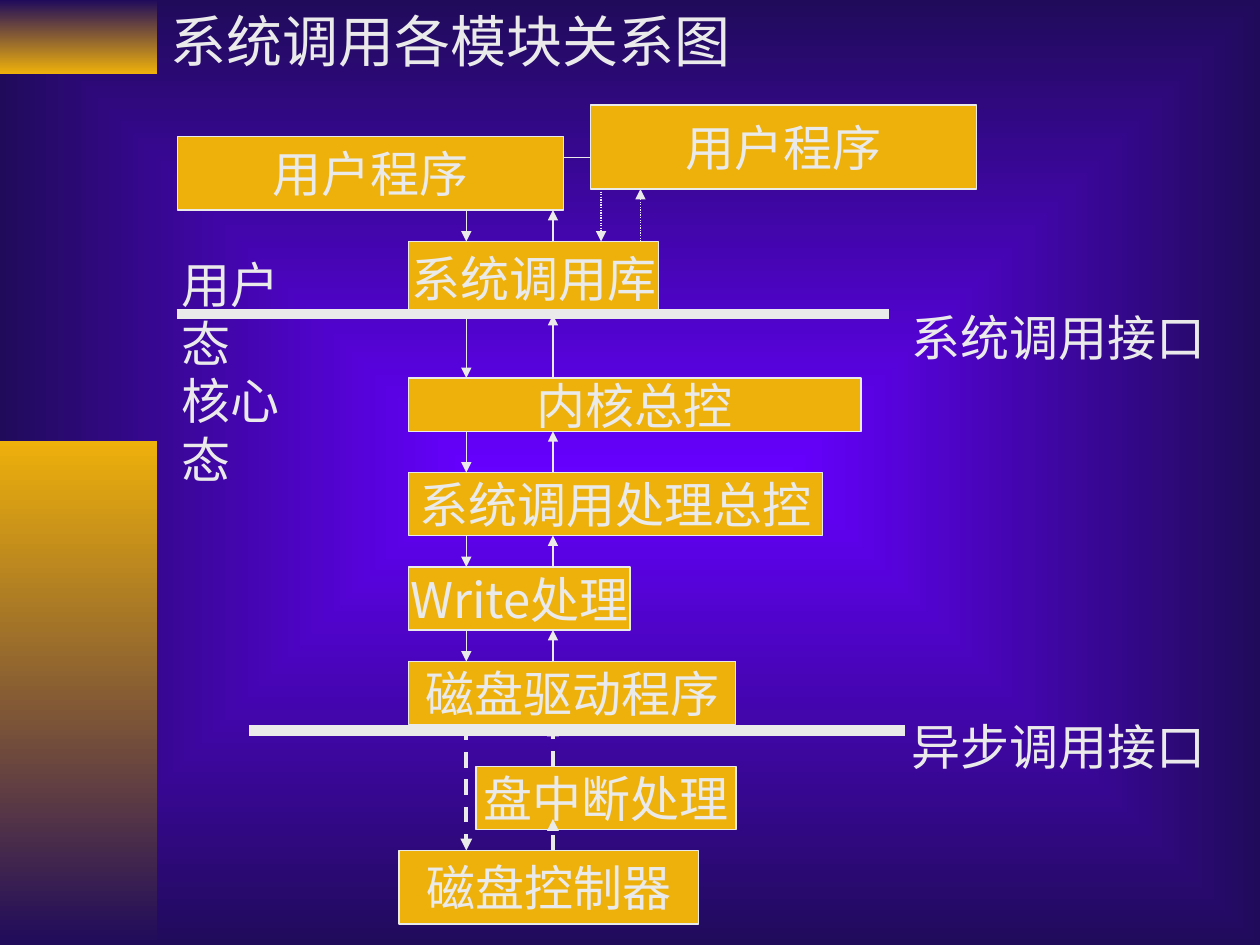
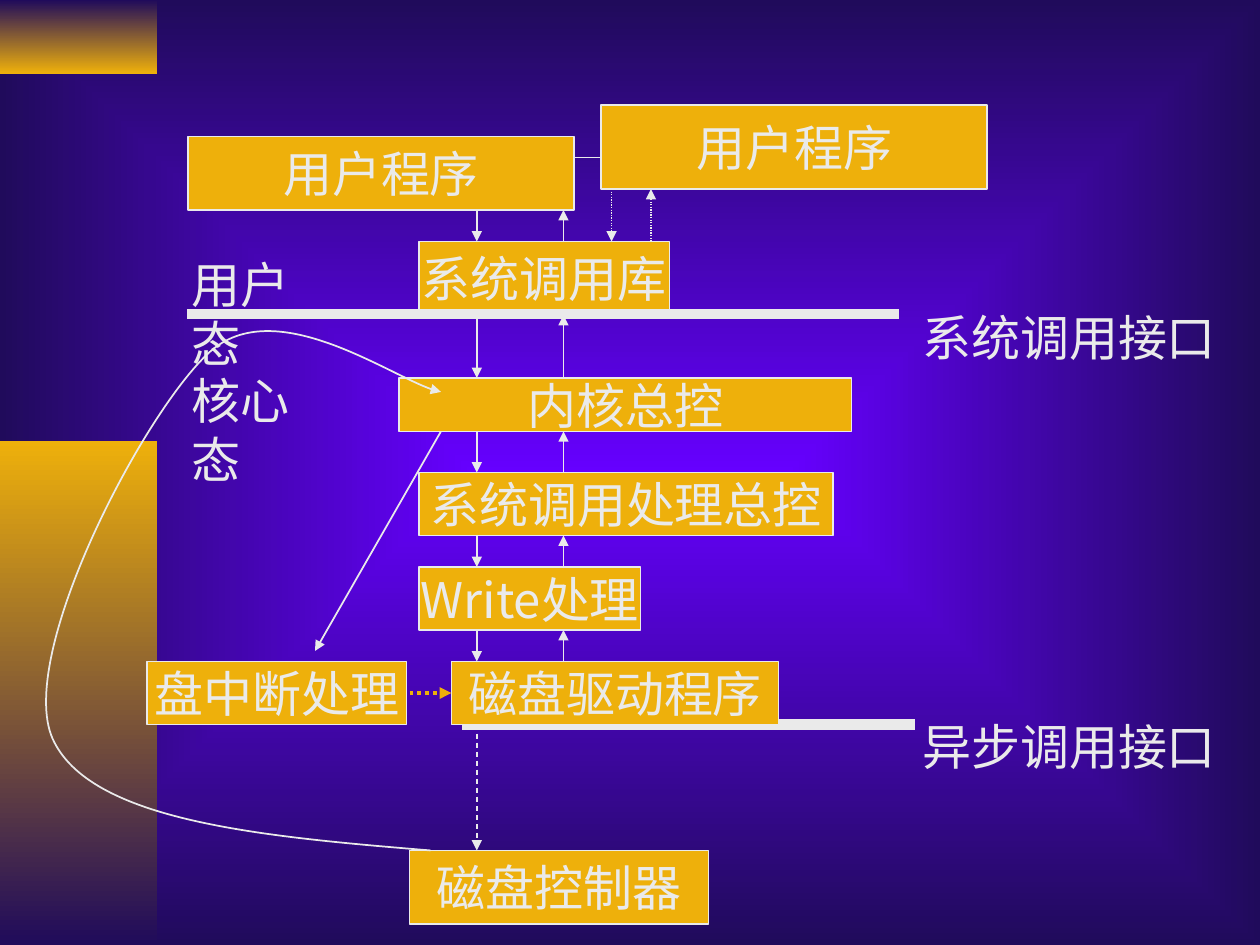
from lxml.etree import SubElement
from pptx import Presentation
from pptx.dml.color import RGBColor
from pptx.enum.dml import MSO_LINE
from pptx.enum.shapes import MSO_CONNECTOR, MSO_SHAPE
from pptx.enum.text import MSO_ANCHOR, MSO_AUTO_SIZE, PP_ALIGN
from pptx.oxml.ns import qn
from pptx.util import Pt

GOLD = RGBColor(0xEE, 0xB0, 0x0B)
PALE = RGBColor(0xEA, 0xEA, 0xEA)
NIGHT = RGBColor(0x20, 0x0B, 0x5B)
VIOLET = RGBColor(0x66, 0x00, 0xFF)
SANS = "Noto Sans CJK SC"
SERIF = "Times New Roman"
DASH, DOT = MSO_LINE.DASH, MSO_LINE.ROUND_DOT


def write(shape, words, align=PP_ALIGN.LEFT, size=28, face=SANS):
    frame = shape.text_frame
    frame.text = words
    frame.word_wrap = False
    boxed = align == PP_ALIGN.CENTER
    frame.vertical_anchor = MSO_ANCHOR.MIDDLE if boxed else MSO_ANCHOR.TOP
    frame.auto_size = MSO_AUTO_SIZE.NONE if boxed else MSO_AUTO_SIZE.SHAPE_TO_FIT_TEXT
    frame.margin_left = frame.margin_right = Pt(7.2)
    frame.margin_top = frame.margin_bottom = Pt(3.6)
    para = frame.paragraphs[0]
    para.alignment = align
    para.font.size = Pt(size)
    para.font.color.rgb = PALE
    para.font.name = face
    props = para._p.pPr.find(qn("a:defRPr"))
    SubElement(props, qn("a:ea")).set("typeface", SANS)


def stroke(shape, weight=0.75, dash=None, color=PALE, head=False):
    """Style an outline or line, add its arrowhead and drop its shadow."""
    shape.line.color.rgb = color
    shape.line.width = Pt(weight)
    if dash:
        shape.line.dash_style = dash
    props = shape.element.spPr
    if head:
        SubElement(props.find(qn("a:ln")), qn("a:tailEnd")).set("type", "triangle")
    SubElement(props, qn("a:effectLst"))


deck = Presentation()
deck.slide_width, deck.slide_height = Pt(720), Pt(540)
first = deck.slides.add_slide(deck.slide_layouts[5])
second = deck.slides.add_slide(deck.slide_layouts[6])

# Shared background and side bands, kept on the master
master = deck.slide_master
back = master.background.fill
back.gradient()
for stop, color in zip(back.gradient_stops, (VIOLET, NIGHT)):
    stop.color.rgb = color
grad = master.element.find(".//" + qn("a:gradFill"))
grad.remove(grad.find(qn("a:lin")))
centre = SubElement(grad, qn("a:path"))
centre.set("path", "rect")
focus = SubElement(centre, qn("a:fillToRect"))
for side in "ltrb":
    focus.set(side, "50000")

for top, height, colors in ((0, 42, (NIGHT, GOLD)), (252, 288, (GOLD, NIGHT))):
    band = first.shapes.add_shape(MSO_SHAPE.RECTANGLE, 0, Pt(top), Pt(90), Pt(height))
    band.shadow.inherit = False
    band.line.fill.background()
    band.fill.gradient()
    band.fill.gradient_angle = 270
    for stop, color in zip(band.fill.gradient_stops, colors):
        stop.color.rgb = color
    master.shapes.element.append(band.element)

title = first.shapes.title
title.left, title.top, title.width, title.height = Pt(90), Pt(0), Pt(335), Pt(46)
write(title, "系统调用各模块关系图", size=32, face=SERIF)

# Parts that both slides share: the second is moved right by a fixed step
LABELS = [
    ("异步调用接口", 514, 406, 182),
    ("系统调用接口", 514, 172, 182),
    ("用户态", 96.5, 142, 98),
    ("核心态", 96.5, 208, 98),
]
BOXES = [
    ("用户程序", 101.5, 78, 220.5, 42),
    ("用户程序", 337.5, 60, 220.5, 48),
    ("系统调用库", 233.5, 138, 143, 42),
    ("系统调用处理总控", 233.5, 270, 236.5, 36),
    ("Write处理", 233.5, 324, 126.5, 36),
    ("磁盘控制器", 228, 486, 171, 42),
]
GAPS = [(120, 138), (180, 216), (246.5, 270), (306, 324), (360, 378)]
DOWN, UP = 266.5, 316

# Per slide: shift, left of kernel box, interrupt box, left of driver box,
# asynchronous bar, weight of the arrow to the disk controller
VIEWS = [
    (first, 0, 233.5, (272, 438), 233.5, (142.5, 517, 417.5), 2.25),
    (second, 6, 228, (84, 378), 258, (264, 523, 414), 0.75),
]

for slide, shift, kernel, (left, top), driver, (start, end, level), weight in VIEWS:
    shapes = slide.shapes
    for words, x, y, width in LABELS:
        label = shapes.add_textbox(Pt(x + shift), Pt(y), Pt(width), Pt(41))
        write(label, words)

    bar = shapes.add_connector(
        MSO_CONNECTOR.STRAIGHT, Pt(start), Pt(level), Pt(end), Pt(level))
    stroke(bar, 6)

    boxes = [(words, x + shift, *rest) for words, x, *rest in BOXES]
    boxes += [
        ("内核总控", kernel, 216, 258.5, 30.5),
        ("盘中断处理", left, top, 148.5, 36),
        ("磁盘驱动程序", driver, 378, 187, 36),
    ]
    for words, x, y, width, height in boxes:
        box = shapes.add_shape(MSO_SHAPE.RECTANGLE, Pt(x), Pt(y), Pt(width), Pt(height))
        box.fill.solid()
        box.fill.fore_color.rgb = GOLD
        stroke(box)
        write(box, words, PP_ALIGN.CENTER)

    # x1, y1, x2, y2, then weight, dash, colour and head
    lines = [
        (101, 179.5, 508, 179.5, 6),
        (322, 90, 337.5, 90),
        (343.5, 108, 343.5, 138, 0.75, DOT, PALE, True),
        (366, 138, 366, 108, 0.75, DOT, PALE, True),
        (DOWN, 414, DOWN, 486, weight, DASH, PALE, True),
    ]
    for high, low in GAPS:
        lines.append((DOWN, high, DOWN, low, 0.75, None, PALE, True))
        lines.append((UP, low, UP, high, 0.75, None, PALE, True))
    if slide is first:
        lines += [(UP, low, UP, high, 2.25, DASH, PALE, True)
                  for low, high in ((486, 468), (438, 414))]
    else:
        lines += [
            (246, 246.5, 174, 372, 1, None, PALE, True),
            (228, 396, 252, 396, 2.25, DOT, GOLD, True),
        ]
    for x1, y1, x2, y2, *style in lines:
        line = shapes.add_connector(
            MSO_CONNECTOR.STRAIGHT, Pt(x1 + shift), Pt(y1), Pt(x2 + shift), Pt(y2))
        stroke(line, *style)

# Interrupt curve from the disk controller back to the kernel
KNOTS = [
    (148, 478), (51, 469), (30, 422),
    (9, 374), (83, 234), (120, 201),
    (157, 168), (230, 220), (252, 224),
]
draft = second.shapes.build_freeform(246, 486, scale=Pt(1))
draft.add_line_segments(KNOTS, close=False)
curve = draft.convert_to_shape()
curve.fill.background()
stroke(curve, 1, head=True)
route = curve.element.find(".//" + qn("a:path"))
steps = route.findall(qn("a:lnTo"))
for i in range(0, len(steps), 3):
    bend = SubElement(route, qn("a:cubicBezTo"))
    for step in steps[i:i + 3]:
        bend.append(step[0])
        route.remove(step)

deck.save("out.pptx")
